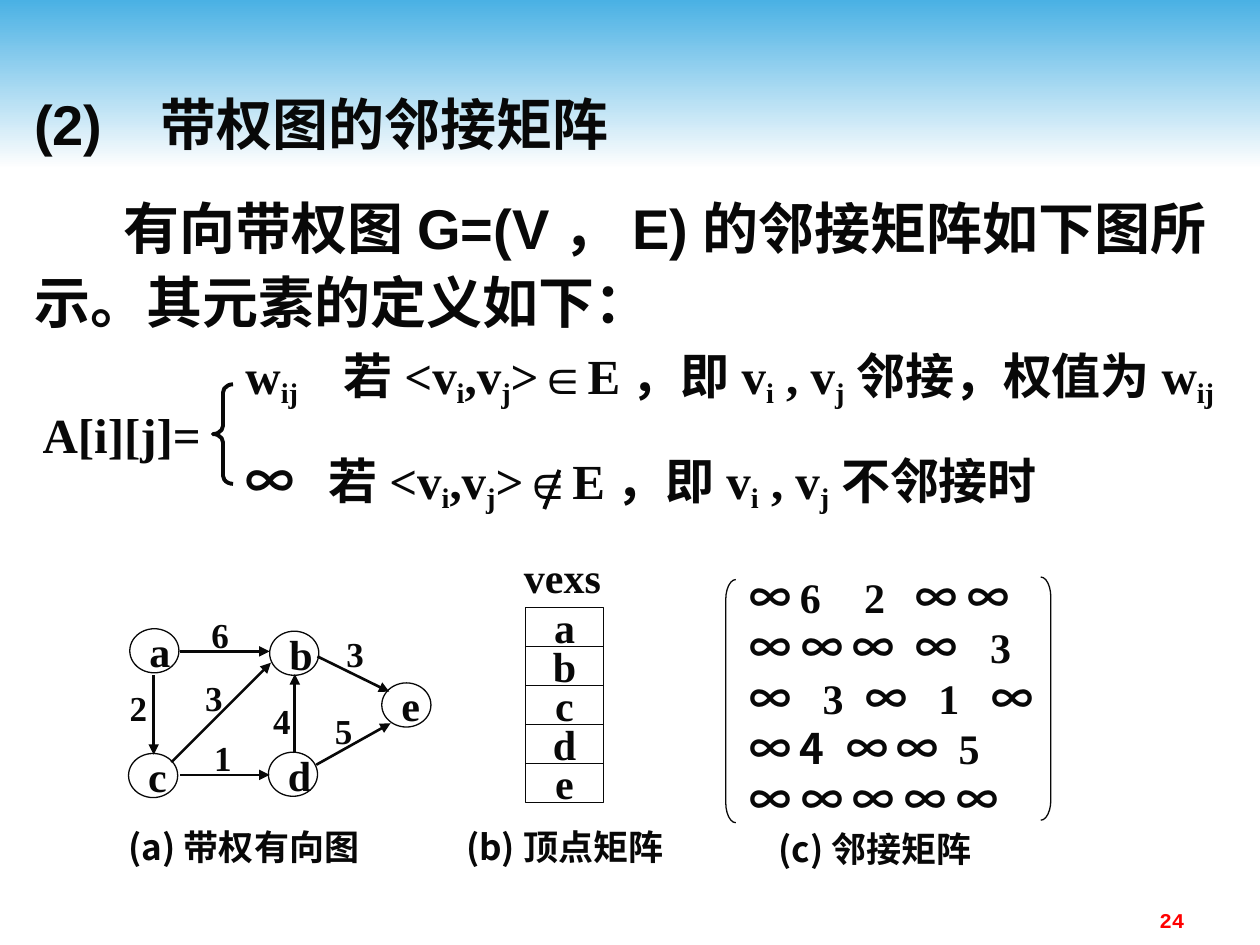
from dataclasses import dataclass
from itertools import groupby

from lxml import etree
from pptx import Presentation
from pptx import util as u
from pptx.dml.color import RGBColor
from pptx.enum import shapes, text
from pptx.oxml.ns import qn

INK = RGBColor(0x08, 0x08, 0x08)
RED = RGBColor(0xFF, 0x00, 0x00)
SKY = RGBColor(0x4A, 0xB1, 0xE4)
PALE = RGBColor(0xFE, 0xFE, 0xFE)
TIMES, ARIAL, CJK = "Times New Roman", "Arial", "Noto Sans CJK SC"
FORM = shapes.MSO_SHAPE
LEFT, MID, RIGHT = text.PP_ALIGN.LEFT, text.PP_ALIGN.CENTER, text.PP_ALIGN.RIGHT


@dataclass
class Label:
    text: str
    x: float
    y: float
    w: float
    h: float = 0.35
    size: int = 24
    face: str = TIMES
    tabs: tuple = ()


@dataclass
class Node:
    name: str
    x: float
    y: float


@dataclass
class Edge:
    x1: float
    y1: float
    x2: float
    y2: float


def set_face(font, face: str) -> None:
    font.name = face
    if face != ARIAL:
        etree.SubElement(font._element, qn("a:ea")).set("typeface", CJK)


def write(par, words: str, size: int, face: str, tabs=(), color=INK) -> None:
    """Write a paragraph; _x_ is a subscript and *x* is set in the CJK face."""
    props = par._p.get_or_add_pPr()
    if tabs:
        stops = etree.SubElement(props, qn("a:tabLst"))
        for stop in tabs:
            etree.SubElement(stops, qn("a:tab"), pos=str(u.Inches(stop)), algn="l")
    font = par.font
    font.size, font.bold = u.Pt(size), True
    font.color.rgb = color
    set_face(font, face)

    marks = {"_": False, "*": False}
    chars = []
    for char in words:
        if char in marks:
            marks[char] = not marks[char]
            continue
        own = CJK if marks["*"] or char == "∞" else ARIAL if char == "∈" else face
        chars.append((char, own, marks["_"]))
    for (own, low), group in groupby(chars, key=lambda c: c[1:]):
        run = par.add_run()
        run.text = "".join(c[0] for c in group)
        if own != face:
            set_face(run.font, own)
        if low:
            run.font._element.set("baseline", "-18000")


def set_frame(frame, wrap=False, anchor=text.MSO_ANCHOR.MIDDLE) -> None:
    frame.word_wrap = wrap
    frame.auto_size = text.MSO_AUTO_SIZE.NONE
    frame.vertical_anchor = anchor


def place(shape, x: float, y: float, w: float, h: float) -> None:
    shape.left, shape.top = u.Inches(x), u.Inches(y)
    shape.width, shape.height = u.Inches(w), u.Inches(h)


def add_label(slide, item: Label) -> None:
    box = slide.shapes.add_textbox(*map(u.Inches, (item.x, item.y, item.w, item.h)))
    set_frame(box.text_frame)
    write(box.text_frame.paragraphs[0], item.text, item.size, item.face, item.tabs)


def add_form(slide, form, x, y, w, h, line=0.75, words="", align=LEFT):
    shape = slide.shapes.add_shape(form, *map(u.Inches, (x, y, w, h)))
    shape.shadow.inherit = False
    shape.fill.background()
    shape.line.color.rgb = INK
    shape.line.width = u.Pt(line)
    if words:
        set_frame(shape.text_frame)
        par = shape.text_frame.paragraphs[0]
        par.alignment = align
        write(par, words, 24, TIMES)
    return shape


def add_line(slide, edge: Edge, width: float, arrow: bool) -> None:
    ends = map(u.Inches, (edge.x1, edge.y1, edge.x2, edge.y2))
    line = slide.shapes.add_connector(shapes.MSO_CONNECTOR.STRAIGHT, *ends)
    line.line.color.rgb = INK
    line.line.width = u.Pt(width)
    if arrow:
        etree.SubElement(line.line._get_or_add_ln(), qn("a:tailEnd"), type="triangle")
    etree.SubElement(line._element.spPr, qn("a:effectLst"))


def fill_holder(holder, area, words: str, indent=0.0, tabs=()) -> None:
    place(holder, *area)
    set_frame(holder.text_frame, True, text.MSO_ANCHOR.TOP)
    par = holder.text_frame.paragraphs[0]
    props = par._p.get_or_add_pPr()
    props.set("marL", "0")
    props.set("indent", str(u.Inches(indent)))
    etree.SubElement(props, qn("a:buNone"))
    write(par, words, 32, ARIAL, tabs)
    par.alignment, par.line_spacing, par.space_before = LEFT, 1.1, u.Pt(0)


def main() -> None:
    deck = Presentation()
    deck.slide_width, deck.slide_height = u.Inches(10), u.Inches(7.5)
    slide = deck.slides.add_slide(deck.slide_layouts[1])

    # Sky band behind everything
    band = add_form(slide, FORM.RECTANGLE, 0, 0, 10, 1.33)
    band.line.fill.background()
    band.fill.gradient()
    band.fill.gradient_angle = 270
    for stop, color, spot in zip(band.fill.gradient_stops, (SKY, PALE), (0, 1)):
        stop.color.rgb, stop.position = color, spot
    slide.shapes._spTree.insert(2, band._element)

    # Heading and introduction
    fill_holder(slide.shapes.title, (0.17, 0.61, 9.64, 0.8),
                "(2)\t带权图的邻接矩阵", tabs=(0.9,))
    fill_holder(slide.placeholders[1], (0.17, 1.43, 9.64, 1.5),
                "有向带权图G=(V，E)的邻接矩阵如下图所示。其元素的定义如下：", 0.71)

    # Definition of the matrix entries
    pair = "若<v_i_,v_j_>∈E，即v_i_ , v_j_"
    for item in (
        Label(f"w_ij_\t{pair}邻接，权值为w_ij_", 1.85, 2.74, 7.56, 0.51, 28, tabs=(0.78,)),
        Label(f"∞\t{pair}不邻接时", 1.85, 3.57, 6.02, 0.51, 28, tabs=(0.66,)),
        Label("A[i][j]=", 0.24, 3.21, 1.3, 0.47, 28),
    ):
        add_label(slide, item)
    brace = add_form(slide, FORM.LEFT_BRACE, 1.69, 3.05, 0.16, 0.79, 2.25)
    brace.adjustments[0] = 0.41
    add_line(slide, Edge(4.44, 3.73, 4.32, 4.04), 2.25, False)

    # Captions
    for item in (
        Label("(a)带权有向图", 0.92, 6.54, 2.05, size=20, face=CJK),
        Label("(b)顶点矩阵", 3.6, 6.54, 1.81, size=20, face=CJK),
        Label("(c)邻接矩阵", 6.08, 6.56, 1.85, size=20, face=CJK),
        Label("vexs", 4.06, 4.4, 0.79),
    ):
        add_label(slide, item)

    # Vertex array
    for row, name in enumerate("abcde"):
        add_form(slide, FORM.RECTANGLE, 4.17, 4.82 + 0.31 * row, 0.62, 0.31,
                 words=name, align=MID)

    # Adjacency matrix with its brackets
    rows = (
        ("∞\t6\t2\t∞\t∞", (0.4, 0.91, 1.32, 1.73)),
        ("∞\t∞\t∞\t∞\t3", (0.41, 0.82, 1.32, 1.91)),
        ("∞\t3\t∞\t1\t∞", (0.58, 0.92, 1.5, 1.92)),
        ("∞\t*4*\t∞\t∞\t5", (0.4, 0.77, 1.17, 1.66)),
        ("∞\t∞\t∞\t∞\t∞", (0.41, 0.82, 1.23, 1.64)),
    )
    for row, (words, tabs) in enumerate(rows):
        add_label(slide, Label(words, 5.85, 4.56 + 0.4 * row, 2.4, tabs=tabs))
    for form, x, y in ((FORM.LEFT_BRACKET, 5.76, 4.6), (FORM.RIGHT_BRACKET, 8.26, 4.58)):
        add_form(slide, form, x, y, 0.08, 1.93).adjustments[0] = 2

    # Weighted directed graph
    for node in (Node("a", 1.03, 4.99), Node("b", 2.14, 5.01), Node("c", 1.02, 5.98),
                 Node("d", 2.13, 5.97), Node("e", 3.03, 5.42)):
        add_form(slide, FORM.OVAL, node.x, node.y, 0.39, 0.35, words=node.name)
    for edge in (
        Edge(1.22, 5.36, 1.22, 5.99), Edge(2.34, 5.98, 2.34, 5.35),
        Edge(1.43, 5.17, 2.14, 5.17), Edge(1.43, 6.15, 2.14, 6.15),
        Edge(1.36, 6.05, 2.15, 5.26), Edge(2.51, 6.07, 3.1, 5.74),
        Edge(2.52, 5.21, 3.09, 5.49),
    ):
        add_line(slide, edge, 1.5, True)
    for cost, x, y in (("3", 2.65, 5.03), ("5", 2.56, 5.64), ("4", 2.07, 5.56),
                       ("1", 1.6, 5.86), ("2", 0.93, 5.46), ("6", 1.58, 4.88),
                       ("3", 1.53, 5.38)):
        add_label(slide, Label(cost, x, y, 0.31, 0.31, 20))

    # Page number
    page = slide.shapes.add_textbox(*map(u.Inches, (7.17, 7.15, 2.33, 0.27)))
    set_frame(page.text_frame, True, text.MSO_ANCHOR.TOP)
    par = page.text_frame.paragraphs[0]
    par.alignment = RIGHT
    write(par, "24", 12, "Courier New", color=RED)

    deck.save("out.pptx")


if __name__ == "__main__":
    main()
